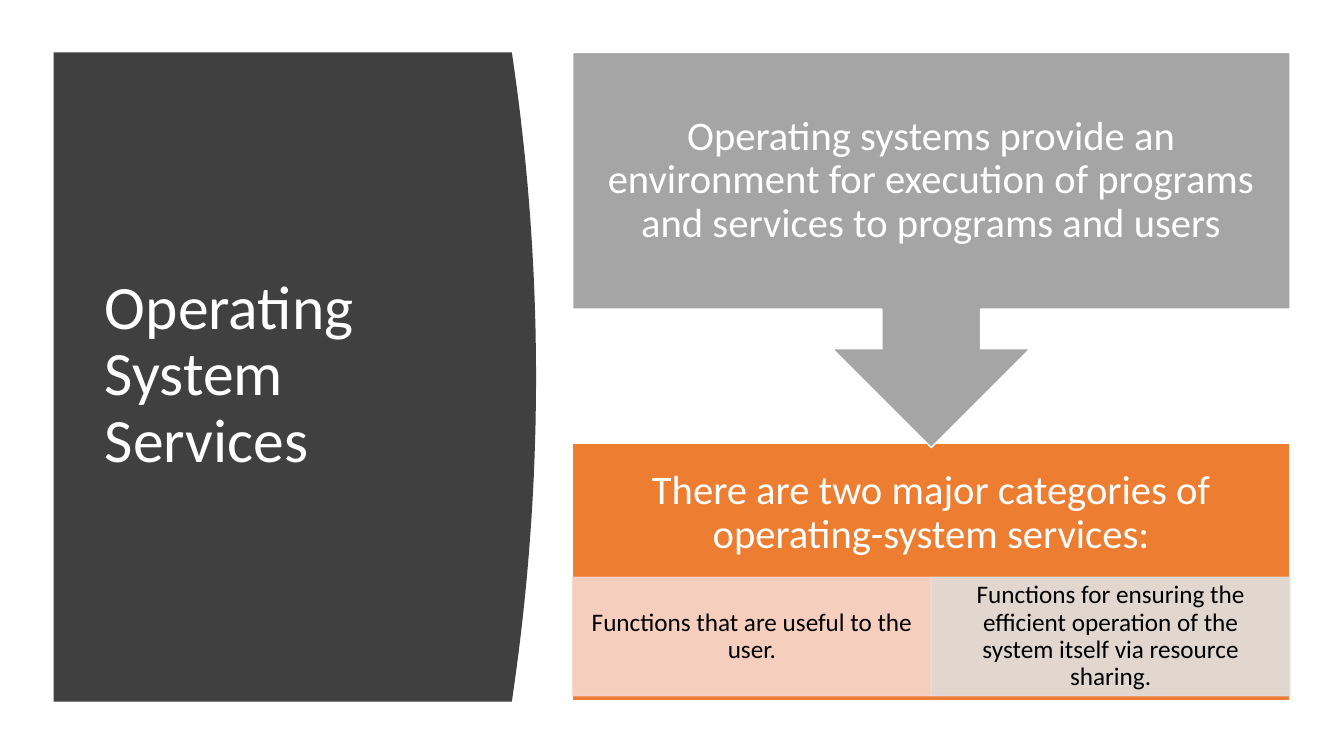
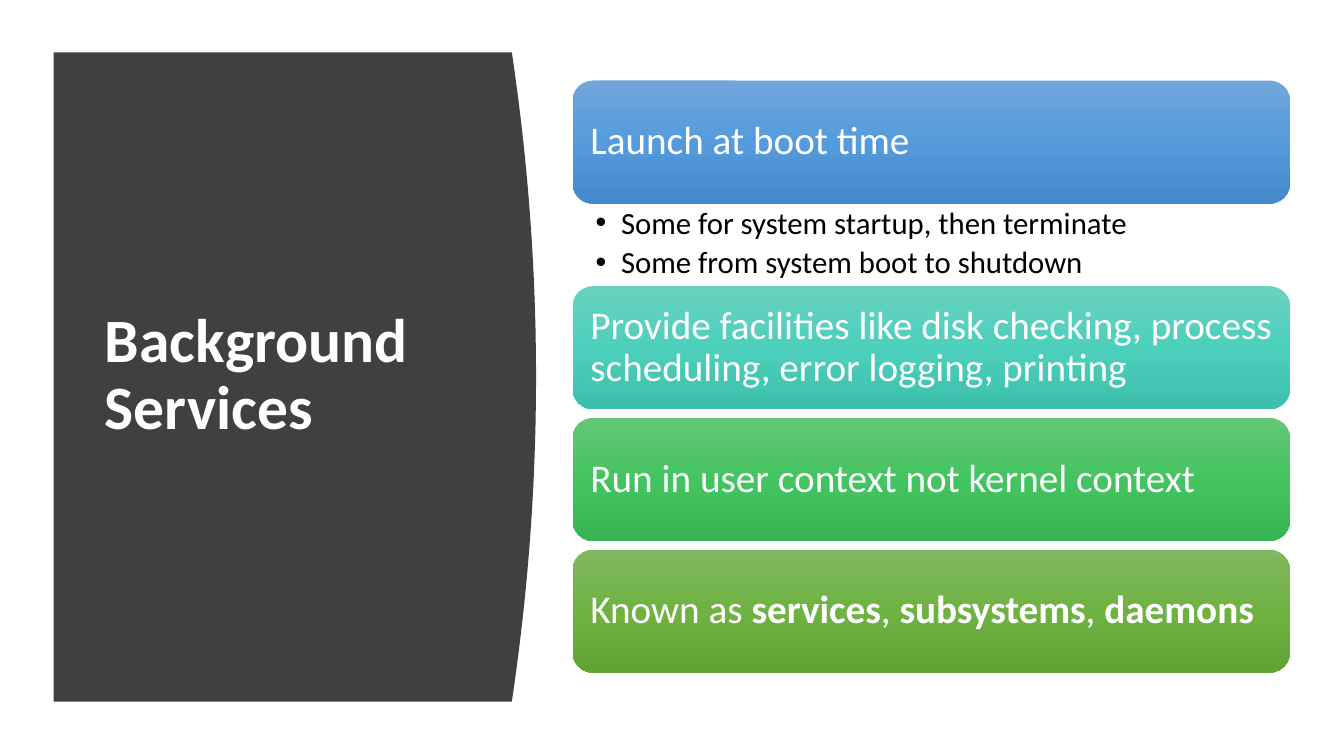
from copy import deepcopy

from pptx import Presentation
from pptx.dml.color import RGBColor
from pptx.enum.shapes import MSO_SHAPE
from pptx.enum.text import MSO_ANCHOR, MSO_AUTO_SIZE, PP_ALIGN
from pptx.oxml.ns import qn
from pptx.util import Cm, Pt

RECT, ROUNDED = MSO_SHAPE.RECTANGLE, MSO_SHAPE.ROUNDED_RECTANGLE
CALLOUT = MSO_SHAPE.DOWN_ARROW_CALLOUT
TOP, MIDDLE = MSO_ANCHOR.TOP, MSO_ANCHOR.MIDDLE
LEFT, CENTER = PP_ALIGN.LEFT, PP_ALIGN.CENTER
TITLE_ONLY, TITLE_AND_BODY = 5, 1

# Content
SERVICES = {
    "title": "Operating System Services",
    "intro": "Operating systems provide an environment for execution of programs "
             "and services to programs and users",
    "heading": "There are two major categories of operating-system services:",
    "categories": [
        ("Functions that are useful to the user.", "peach"),
        ("Functions for ensuring the efficient operation of the system itself "
         "via resource sharing.", "silver"),
    ],
}
BACKGROUND = {
    "title": "Background Services",
    # Each bar: runs as (text, bold), gradient, bullets below
    "bars": [
        ([("Launch at boot time", False)], "blue",
         ["Some for system startup, then terminate",
          "Some from system boot to shutdown"]),
        ([("Provide facilities like disk checking, process scheduling, "
           "error logging, printing", False)], "teal", []),
        ([("Run in user context not kernel context", False)], "green", []),
        ([("Known as ", False), ("services", True), (", ", False),
          ("subsystems", True), (", ", False), ("daemons", True)], "olive", []),
    ],
}

# Style
COLORS = {"panel": "404040", "white": "FFFFFF", "black": "000000", "gray": "A5A5A5",
          "orange": "ED7D31", "peach": "F8D7CE", "silver": "E1E1E1"}
GRADIENTS = {"blue": ("71A6DB", "559BDB", "448ACA"),
             "teal": ("6AD1C0", "4CD0BC", "3CC0AC"),
             "green": ("64C677", "44C460", "36B552"),
             "olive": ("81B861", "6FB242", "62A336")}
FONT = "Calibri"

# Layout in centimetres
PANEL_X, PANEL_Y, PANEL_W, PANEL_H, BULGE = 1.35, 1.32, 11.55, 16.36, 0.61
TITLE_BOX = (2.39, 2.82, 9.5, 13.31)
RIGHT_X, RIGHT_W = 14.43, 18.08
BAR_TOP, BAR_H, BAR_GAP, BULLETS_H = 2.03, 3.1, 0.22, 2.08


def rgb(name):
    return RGBColor.from_string(COLORS[name])


def write(sp, paragraphs, size, color, align=LEFT, anchor=MIDDLE, insets=None, after=0):
    """Fill a shape with paragraphs, each a list of (text, bold) runs."""
    tf = sp.text_frame
    frame = {"word_wrap": True, "auto_size": MSO_AUTO_SIZE.NONE, "vertical_anchor": anchor}
    for key, value in frame.items():
        setattr(tf, key, value)
    sides = ("left", "top", "right", "bottom")
    for side, inset in zip(sides, insets or ()):
        setattr(tf, f"margin_{side}", Cm(inset))
    para = {"alignment": align, "line_spacing": 0.9,
            "space_before": Pt(0), "space_after": Pt(after)}
    for i, runs in enumerate(paragraphs):
        p = tf.add_paragraph() if i else tf.paragraphs[0]
        for key, value in para.items():
            setattr(p, key, value)
        for text, bold in runs:
            r = p.add_run()
            r.text = text
            for key, value in {"name": FONT, "size": Pt(size), "bold": bold}.items():
                setattr(r.font, key, value)
            r.font.color.rgb = rgb(color)


def place(sp, *box):
    sp.left, sp.top, sp.width, sp.height = map(Cm, box)


def add_block(slide, kind, *box):
    sp = slide.shapes.add_shape(kind, *map(Cm, box))
    sp.shadow.inherit = False
    return sp


def paint(sp, fill, line, alpha=None):
    sp.fill.solid()
    sp.fill.fore_color.rgb = rgb(fill)
    sp.line.color.rgb = rgb(line)
    sp.line.width = Pt(1)
    if alpha:
        for clr in sp._element.spPr.iter(qn("a:srgbClr")):
            clr.makeelement(qn("a:alpha"))
            clr.append(clr.makeelement(qn("a:alpha"), {"val": str(alpha * 1000)}))


def paint_gradient(sp, colors):
    sp.line.fill.background()
    sp.fill.gradient()
    sp.fill.gradient_angle = 270
    stop_list = next(sp._element.spPr.iter(qn("a:gsLst")))
    stop_list.append(deepcopy(stop_list[0]))
    for i, (stop, color) in enumerate(zip(sp.fill.gradient_stops, colors)):
        stop.color.rgb = RGBColor.from_string(color)
        stop.position = i / 2


def add_titled_slide(prs, layout, title, bold=False):
    """Add a slide with the curved dark panel and its title."""
    slide = prs.slides.add_slide(prs.slide_layouts[layout])
    steps = 40
    edge = []
    for i in range(steps + 1):
        t = 2 * i / steps - 1
        edge.append((Cm(PANEL_X + PANEL_W + BULGE * (1 - t * t)),
                     Cm(PANEL_Y + PANEL_H * i / steps)))
    outline = slide.shapes.build_freeform(Cm(PANEL_X), Cm(PANEL_Y))
    outline.add_line_segments(edge + [(Cm(PANEL_X), Cm(PANEL_Y + PANEL_H))])
    panel = outline.convert_to_shape()
    panel.shadow.inherit = False
    panel.fill.solid()
    panel.fill.fore_color.rgb = rgb("panel")
    panel.line.fill.background()

    sp = slide.shapes.title
    sp._element.addprevious(panel._element)  # panel goes behind the title
    place(sp, *TITLE_BOX)
    write(sp, [[(title, bold)]], 44, "white")
    return slide


def build_services(prs):
    slide = add_titled_slide(prs, TITLE_ONLY, SERVICES["title"])

    # Heading block with the two categories along its foot
    sp = add_block(slide, RECT, RIGHT_X, 11.18, RIGHT_W, 6.48)
    paint(sp, "orange", "white")
    write(sp, [[(SERVICES["heading"], False)]], 29, "white", CENTER,
          insets=(0.58, 0.58, 0.58, 3.56))
    width = RIGHT_W / len(SERVICES["categories"])
    for i, (text, color) in enumerate(SERVICES["categories"]):
        sp = add_block(slide, RECT, RIGHT_X + i * width, 14.55, width, 2.98)
        paint(sp, color, color, alpha=90)
        write(sp, [[(text, False)]], 18, "black", CENTER, insets=(0.36, 0.08, 0.36, 0.08))

    # Introduction pointing down to the heading
    sp = add_block(slide, CALLOUT, RIGHT_X, PANEL_Y, RIGHT_W, 9.96)
    paint(sp, "gray", "white")
    write(sp, [[(SERVICES["intro"], False)]], 29, "white", CENTER, insets=(0.58,) * 4)


def build_background(prs):
    slide = add_titled_slide(prs, TITLE_AND_BODY, BACKGROUND["title"], bold=True)
    y = BAR_TOP
    for runs, gradient, bullets in BACKGROUND["bars"]:
        sp = add_block(slide, ROUNDED, RIGHT_X, y, RIGHT_W, BAR_H)
        paint_gradient(sp, GRADIENTS[gradient])
        write(sp, [runs], 28, "white", insets=(0.3,) * 4)
        y += BAR_H
        if not bullets:
            y += BAR_GAP
            continue
        body = slide.placeholders[1]
        place(body, RIGHT_X, y, RIGHT_W, BULLETS_H)
        write(body, [[(text, False)] for text in bullets], 22, "black",
              anchor=TOP, insets=(0.58, 0.1, 0.56, 0.1), after=4.4)
        for p in body.text_frame.paragraphs:
            pPr = p._p.get_or_add_pPr()
            pPr.set("marL", str(Cm(0.64)))
            pPr.set("indent", str(-Cm(0.64)))
        y += BULLETS_H


def main():
    prs = Presentation()
    prs.slide_width, prs.slide_height = Cm(33.87), Cm(19.05)
    build_services(prs)
    build_background(prs)
    prs.save("out.pptx")


if __name__ == "__main__":
    main()
